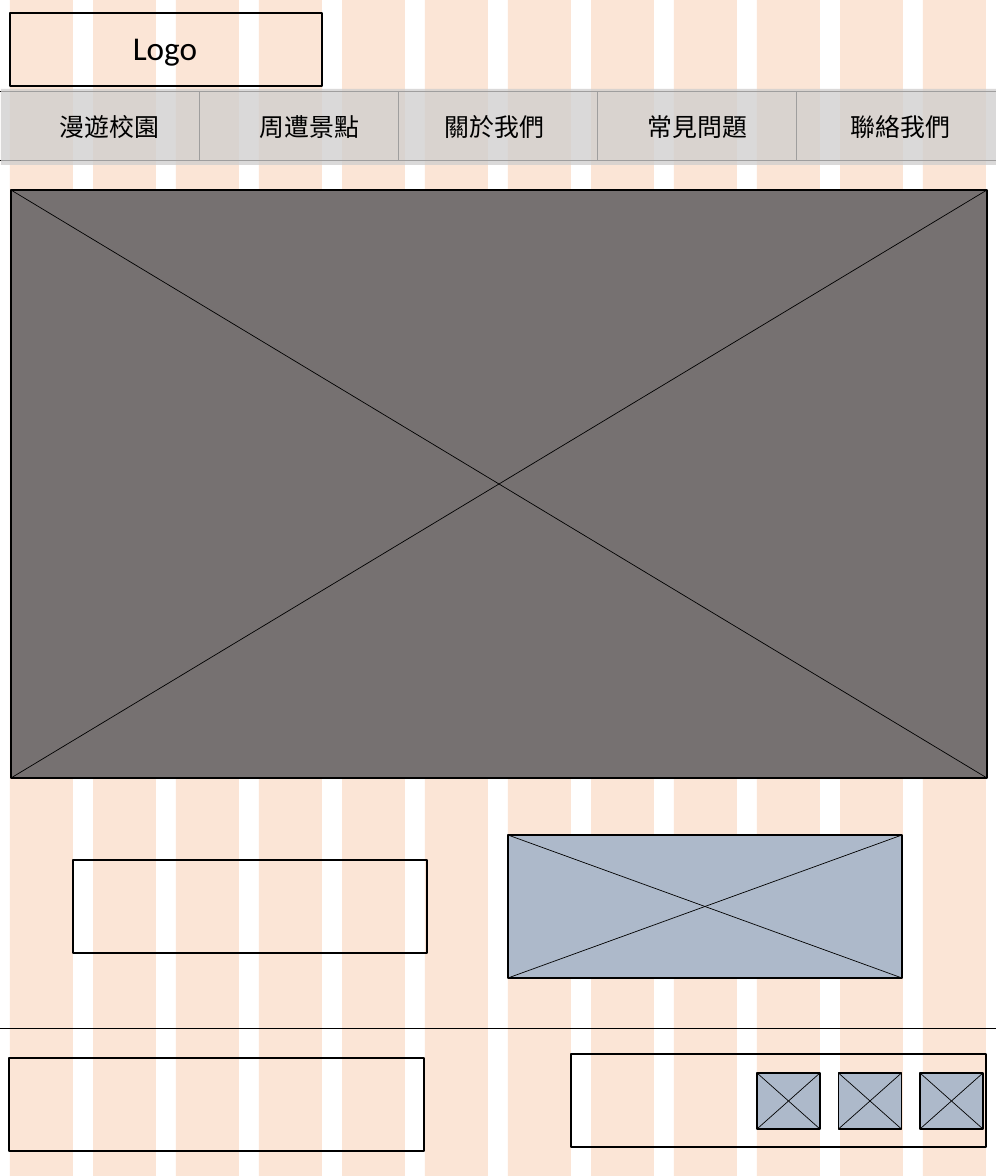
import lxml.etree
import pptx
import pptx.dml.color
import pptx.enum.shapes
import pptx.enum.text
import pptx.oxml.ns
import pptx.util

SCALE = 914400 / 99.6
PAGE_WIDTH, PAGE_HEIGHT = 996, 1176
BLACK = "000000"
CJK_FONT = "Noto Sans CJK SC"


def emu(pixels):
    return pptx.util.Emu(round(pixels * SCALE))


def color(value):
    return pptx.dml.color.RGBColor.from_string(value)


def add_element(parent, tag, **attributes):
    return lxml.etree.SubElement(parent, pptx.oxml.ns.qn(tag), attributes)


def add_box(shapes, box, fill=None, outline=BLACK, opacity=None):
    rectangle = shapes.add_shape(
        pptx.enum.shapes.MSO_SHAPE.RECTANGLE, *[emu(length) for length in box])
    rectangle.shadow.inherit = False
    if fill:
        rectangle.fill.solid()
        rectangle.fill.fore_color.rgb = color(fill)
        if opacity:
            tint = rectangle.fill._xPr.find(".//" + pptx.oxml.ns.qn("a:srgbClr"))
            add_element(tint, "a:alpha", val=str(opacity * 1000))
    else:
        rectangle.fill.background()
    if outline:
        rectangle.line.color.rgb = color(outline)
        rectangle.line.width = pptx.util.Pt(1)
    else:
        rectangle.line.fill.background()


def add_line(shapes, x1, y1, x2, y2):
    line = shapes.add_connector(
        pptx.enum.shapes.MSO_CONNECTOR.STRAIGHT, emu(x1), emu(y1), emu(x2), emu(y2))
    line.line.color.rgb = color(BLACK)
    line.line.width = pptx.util.Pt(0.5)
    add_element(line._element.spPr, "a:effectLst")


def add_label(shapes, box, text, size, font="Calibri"):
    label = shapes.add_textbox(*[emu(length) for length in box])
    frame = label.text_frame
    frame.word_wrap = False
    frame.auto_size = pptx.enum.text.MSO_AUTO_SIZE.SHAPE_TO_FIT_TEXT
    frame.text = text
    span = frame.paragraphs[0].runs[0]
    span.font.name = font
    span.font.size = pptx.util.Pt(size)
    span.font.color.rgb = color(BLACK)
    add_element(span.font._element, "a:ea", typeface=CJK_FONT)


def add_image_frame(shapes, box, fill):
    """A filled box with both diagonals, standing for an image."""
    left, top, width, height = box
    right, bottom = left + width, top + height
    group = shapes.add_group_shape().shapes
    add_box(group, box, fill)
    add_line(group, right, top, left, bottom)
    add_line(group, left, top, right, bottom)


def add_column_grid(shapes, box, count=12, column_width=63):
    left, top, width, height = box
    step = (width - column_width) / (count - 1)
    group = shapes.add_group_shape().shapes
    for index in range(count):
        add_box(group, (left + index * step, top, column_width, height),
                "FBE5D6", outline=None)


def add_header(shapes, box):
    left, top, width, height = box
    add_box(shapes, box)
    add_label(shapes, (left + 113, top + 9, 85, 50), "Logo", 24)


def add_navigation(shapes, box):
    left, top, width, height = box
    bottom = top + height
    items = [("漫遊校園", 50, CJK_FONT), ("周遭景點", 250, CJK_FONT),
             ("關於我們", 435, "Calibri"), ("常見問題", 638, "Calibri"),
             ("聯絡我們", 841, "Calibri")]
    # Rules and dividers under the translucent band
    for y in (top, bottom):
        add_line(shapes, left, y, left + width, y)
    for index in range(1, len(items)):
        x = left + index * width / len(items)
        add_line(shapes, x, top, x, bottom)
    add_box(shapes, (left + 1, top - 2, width, height + 7), "D0CECE",
            outline=None, opacity=77)
    # Menu items
    for text, offset, font in items:
        add_label(shapes, (left + offset, top + 16, 121, 40), text, 18, font)


def add_content(shapes, box):
    left, top, width, height = box
    add_box(shapes, (left, top + 25, 354, 93))
    add_image_frame(shapes, (left + 435, top, width - 435, height), "ADB9CA")


def add_footer(shapes, box):
    left, top, width, height = box
    add_line(shapes, left, top, left + width, top)
    add_box(shapes, (left + 9, top + 30, 415, 93))
    add_box(shapes, (left + 571, top + 26, 415, 93))
    # Icons
    for index in range(3):
        add_image_frame(
            shapes, (left + 757 + index * 81.5, top + 45, 63, 56), "ADB9CA")


deck = pptx.Presentation()
deck.slide_width, deck.slide_height = emu(PAGE_WIDTH), emu(PAGE_HEIGHT)
page = deck.slides.add_slide(deck.slide_layouts[6])

add_column_grid(page.shapes, (10, 0, 976, PAGE_HEIGHT))
add_header(page.shapes, (10, 13, 312, 73))
add_navigation(page.shapes, (0, 91, PAGE_WIDTH, 69))
add_image_frame(page.shapes, (11, 190, 976, 588), "767171")
add_content(page.shapes, (73, 835, 829, 143))
add_footer(page.shapes, (0, 1028, PAGE_WIDTH, 148))

deck.save("out.pptx")
